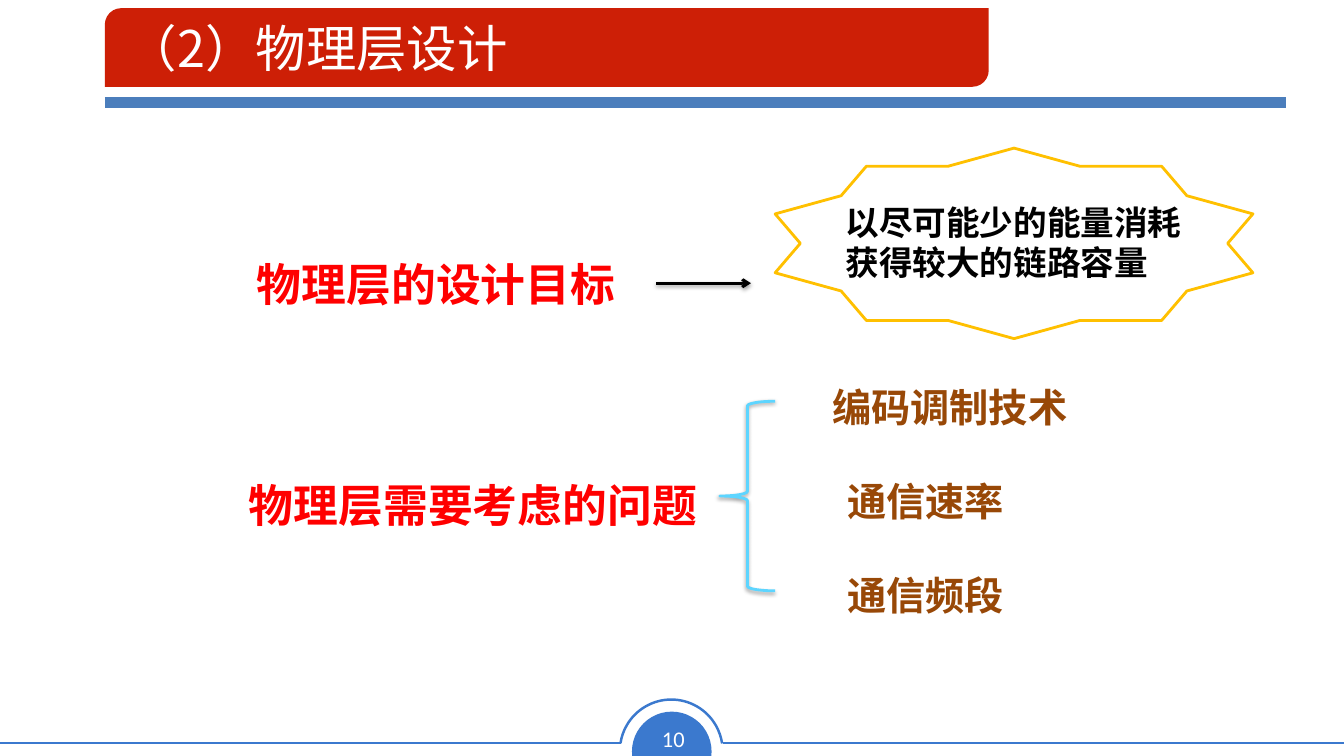
"""Build the slide on the design of the physical layer."""
from dataclasses import dataclass

from lxml import etree
from pptx import Presentation
from pptx.dml.color import RGBColor
from pptx.enum.shapes import MSO_CONNECTOR, MSO_SHAPE
from pptx.enum.text import MSO_ANCHOR, MSO_AUTO_SIZE, PP_ALIGN
from pptx.oxml.ns import qn
from pptx.util import Pt

STRAIGHT = MSO_CONNECTOR.STRAIGHT
LEFT, CENTER = PP_ALIGN.LEFT, PP_ALIGN.CENTER
TITLE_ONLY = 5


@dataclass(frozen=True)
class Theme:
    font: str = "Noto Sans CJK SC"
    number_font: str = "Calibri"
    white: str = "FFFFFF"
    black: str = "000000"
    banner: str = "CD1F06"
    rule: str = "4B7EBC"
    footer: str = "3B79CE"
    topic: str = "FF0000"
    factor: str = "984807"
    star: str = "FFC000"
    brace: str = "5DD5FF"
    title_size: float = 36
    topic_size: float = 32
    factor_size: float = 28
    goal_size: float = 24
    number_size: float = 16


THEME = Theme()


@dataclass(frozen=True)
class Outline:
    preset: MSO_SHAPE
    box: tuple[float, float, float, float]
    fill: str | None = None
    line: str | None = None
    weight: float = 2
    adjustments: tuple[float, ...] = ()
    rotation: float = 0
    shadow: bool = False


@dataclass(frozen=True)
class Rule:
    start: tuple[float, float]
    end: tuple[float, float]
    color: str
    weight: float
    arrow: bool = False
    shadow: bool = False


@dataclass(frozen=True)
class Label:
    text: str
    box: tuple[float, float, float, float]
    size: float
    color: str
    font: str = THEME.font
    bold: bool = True
    align: PP_ALIGN = LEFT
    wrap: bool = False


FOOTER_Y = 530.6
FACTOR_TOP, FACTOR_STEP = 270, 67.4
FACTORS = (("编码调制技术", 587.5, 182.9), ("通信速率", 598.3, 126.7), ("通信频段", 598.3, 126.7))

OUTLINES = (
    Outline(MSO_SHAPE.CHORD, (451.4, 508.3, 56.9, 56.9), fill=THEME.footer,
            adjustments=(35.77, 153.29), rotation=112.4),
    Outline(MSO_SHAPE.ARC, (442.8, 499.7, 73.4, 73.4), line=THEME.footer, weight=1.77,
            adjustments=(113.17, 210.98)),
    Outline(MSO_SHAPE.ROUND_2_DIAG_RECTANGLE, (74.9, 5.8, 631.4, 56.2), fill=THEME.banner,
            adjustments=(0.21, 0)),
    Outline(MSO_SHAPE.STAR_10_POINT, (553.7, 105.8, 341.3, 136.1), line=THEME.star),
    Outline(MSO_SHAPE.LEFT_BRACE, (514.1, 286.6, 39.6, 135.4), line=THEME.brace, shadow=True),
)

RULES = (
    Rule((516.2, FOOTER_Y), (960, FOOTER_Y), THEME.footer, 1.77),
    Rule((0, FOOTER_Y), (443.5, FOOTER_Y), THEME.footer, 1.77),
    Rule((74.9, 73.3), (918.7, 73.3), THEME.rule, 8),
    Rule((468.7, 202.3), (536.4, 202.3), THEME.black, 2, arrow=True, shadow=True),
)

TITLE = Label("（2）物理层设计", (83.5, 7.2, 833, 53.3), THEME.title_size, THEME.white, bold=False,
              wrap=True)

LABELS = (
    Label("10", (464.4, 514.1, 33.1, 26.6), THEME.number_size, THEME.white,
          font=THEME.number_font, bold=False, align=CENTER),
    Label("物理层的设计目标", (176.4, 180, 270.7, 46.1), THEME.topic_size, THEME.topic),
    Label("以尽可能少的能量消耗获得较大的链路容量", (596.9, 140.4, 263.5, 65.5),
          THEME.goal_size, THEME.black, wrap=True),
    Label("物理层需要考虑的问题", (170.6, 337.7, 334.8, 46.1), THEME.topic_size, THEME.topic),
    *(Label(text, (left, FACTOR_TOP + row * FACTOR_STEP, width, 41), THEME.factor_size,
            THEME.factor)
      for row, (text, left, width) in enumerate(FACTORS)),
)


def add_soft_shadow(effects: etree._Element) -> None:
    shadow = etree.SubElement(effects, qn("a:outerShdw"), blurRad=str(Pt(3.1)),
                              dist=str(Pt(1.6)), dir="5400000", rotWithShape="0")
    color = etree.SubElement(shadow, qn("a:srgbClr"), val=THEME.black)
    etree.SubElement(color, qn("a:alpha"), val="38000")


def draw_outline(shapes, outline: Outline) -> None:
    shape = shapes.add_shape(outline.preset, *map(Pt, outline.box))
    for index, value in enumerate(outline.adjustments):
        shape.adjustments[index] = value
    shape.rotation = outline.rotation
    if outline.fill:
        shape.fill.solid()
        shape.fill.fore_color.rgb = RGBColor.from_string(outline.fill)
    else:
        shape.fill.background()
    if outline.line:
        shape.line.color.rgb = RGBColor.from_string(outline.line)
        shape.line.width = Pt(outline.weight)
    else:
        shape.line.fill.background()
    shape.shadow.inherit = False
    if outline.shadow:
        add_soft_shadow(shape._element.spPr.find(qn("a:effectLst")))


def draw_rule(shapes, rule: Rule) -> None:
    connector = shapes.add_connector(STRAIGHT, *map(Pt, rule.start + rule.end))
    connector.line.color.rgb = RGBColor.from_string(rule.color)
    connector.line.width = Pt(rule.weight)
    properties = connector._element.spPr
    if rule.arrow:
        etree.SubElement(properties.find(qn("a:ln")), qn("a:tailEnd"), type="arrow")
    effects = etree.SubElement(properties, qn("a:effectLst"))
    if rule.shadow:
        add_soft_shadow(effects)


def write_label(holder, label: Label) -> None:
    holder.left, holder.top, holder.width, holder.height = map(Pt, label.box)
    frame = holder.text_frame
    frame.text = label.text
    frame.word_wrap = label.wrap
    frame.auto_size = MSO_AUTO_SIZE.NONE
    paragraph = frame.paragraphs[0]
    paragraph.alignment = label.align
    font = paragraph.font
    font.size = Pt(label.size)
    font.bold = label.bold
    font.color.rgb = RGBColor.from_string(label.color)
    font.name = label.font
    defaults = paragraph._p.pPr.find(qn("a:defRPr"))
    etree.SubElement(defaults, qn("a:ea"), typeface=label.font)


def main() -> None:
    deck = Presentation()
    deck.slide_width, deck.slide_height = Pt(960), Pt(540)
    slide = deck.slides.add_slide(deck.slide_layouts[TITLE_ONLY])
    shapes = slide.shapes
    for outline in OUTLINES:
        draw_outline(shapes, outline)
    for rule in RULES:
        draw_rule(shapes, rule)
    title = shapes.title
    write_label(title, TITLE)
    title.text_frame.vertical_anchor = MSO_ANCHOR.MIDDLE
    shapes._spTree.append(title._element)
    for label in LABELS:
        write_label(shapes.add_textbox(*map(Pt, label.box)), label)
    deck.save("out.pptx")


if __name__ == "__main__":
    main()
